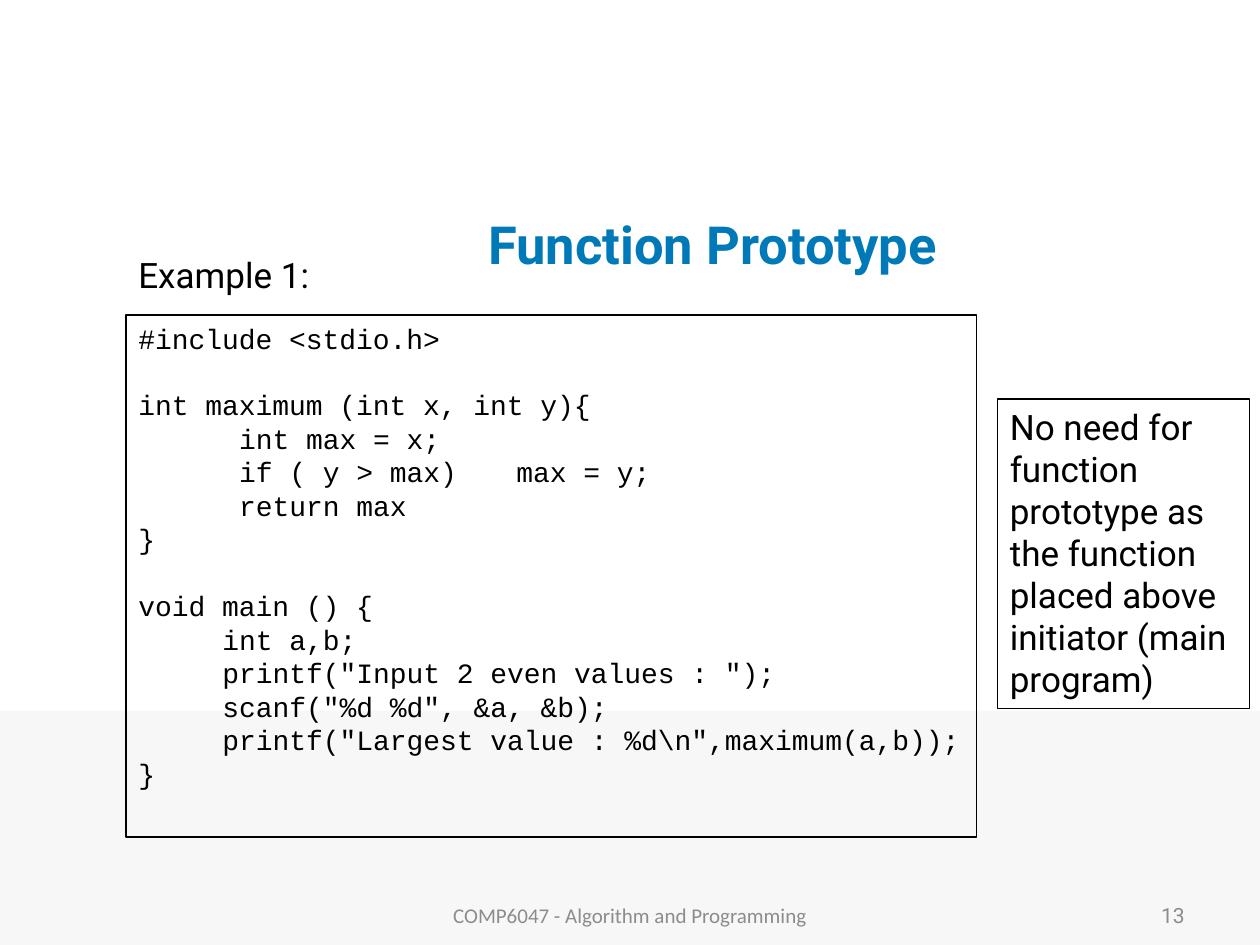
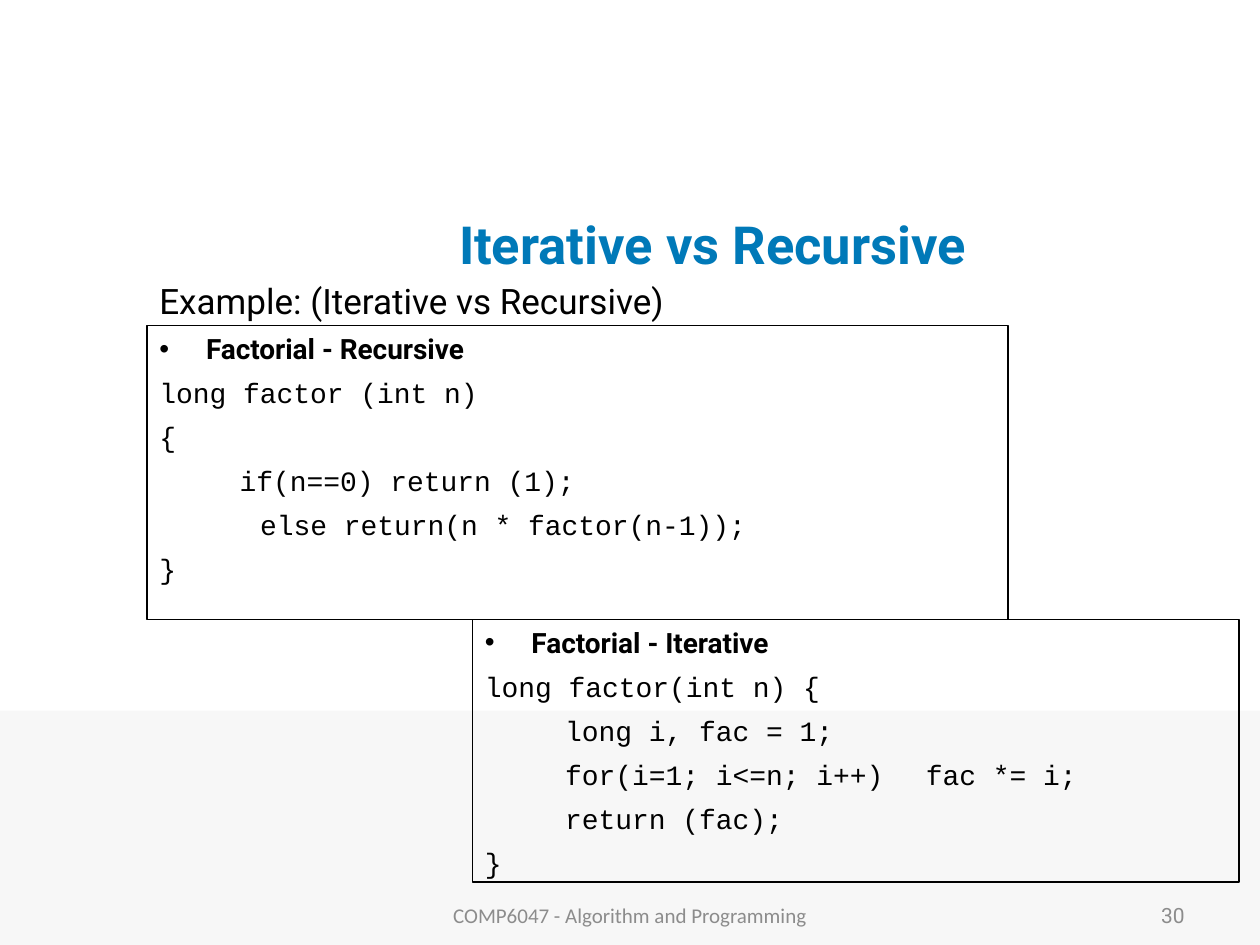
from dataclasses import dataclass

from lxml.etree import SubElement
from pptx import Presentation
from pptx.dml.color import RGBColor
from pptx.enum.shapes import MSO_SHAPE
from pptx.enum.text import MSO_ANCHOR, PP_ALIGN
from pptx.oxml.ns import qn
from pptx.shapes.autoshape import Shape
from pptx.slide import Slide
from pptx.text.text import TextFrame
from pptx.util import Pt

COLORS = {
    "title": "0079B8",
    "text": "000000",
    "footer": "8C8C8C",
    "band": "F7F7F7",
}
SANS = "Roboto"
MONO = "Courier New"
FOOTER_FONT = "Calibri"
COURSE = "COMP6047 - Algorithm and Programming"
CODE_SIZE = 16
CODE_LEADING = 19.15
CHARACTER = 9.6
BULLET_INDENT = 26.64
NESTED_INDENT = BULLET_INDENT + 2 * CHARACTER


@dataclass(frozen=True)
class Area:
    left: float
    top: float
    width: float
    height: float


@dataclass(frozen=True)
class CodeLine:
    text: str
    indent: float = 0
    gap: float = 0
    tab: float | None = None


@dataclass(frozen=True)
class Listing:
    area: Area
    lines: tuple[CodeLine, ...]
    heading: str | None = None


@dataclass(frozen=True)
class Label:
    text: str
    area: Area
    gap: float
    leading: float | None = None


BAND = Area(0, 406, 720, 134)
TITLE = Area(138, 108, 538.5, 62.5)
NUMBER = Area(516, 508.5, 168, 28.5)
FOOTER = Area(246, 508.5, 228, 28.5)

PROTOTYPE_LABEL = Label("Example 1:", Area(72, 144, 648, 36), 7, 0.9)
PROTOTYPE_LISTING = Listing(
    Area(72, 180, 486, 298.25),
    (
        CodeLine("#include <stdio.h>"),
        CodeLine("int maximum (int x, int y){", gap=CODE_LEADING),
        CodeLine("int max = x;", 6 * CHARACTER),
        CodeLine("if ( y > max)\tmax = y;", 6 * CHARACTER, tab=216),
        CodeLine("return max", 6 * CHARACTER),
        CodeLine("}"),
        CodeLine("void main () {", gap=CODE_LEADING),
        CodeLine("int a,b;", 5 * CHARACTER),
        CodeLine('printf("Input 2 even values : ");', 5 * CHARACTER),
        CodeLine('scanf("%d %d", &a, &b);', 5 * CHARACTER),
        CodeLine('printf("Largest value : %d\\n",maximum(a,b));', 5 * CHARACTER),
        CodeLine("}"),
    ),
)
PROTOTYPE_NOTE = Label(
    "No need for function prototype as the function placed above initiator (main program)",
    Area(570, 228, 144, 177),
    12.5,
    Pt(24),
)

FACTORIAL_LABEL = Label("Example: (Iterative vs Recursive)", Area(84, 156, 678, 36), 6)
FACTORIAL_LISTINGS = (
    Listing(
        Area(84, 186, 492, 168),
        (
            CodeLine("long factor (int n)", gap=6),
            CodeLine("{", gap=6),
            CodeLine("if(n==0) return (1);", NESTED_INDENT, 6),
            CodeLine("else return(n * factor(n-1));", 6 * CHARACTER, 6),
            CodeLine("}", gap=6),
        ),
        "Factorial - Recursive",
    ),
    Listing(
        Area(270, 354, 438, 150),
        (
            CodeLine("long factor(int n) {", gap=6),
            CodeLine("long i, fac = 1;", NESTED_INDENT, 6),
            CodeLine("for(i=1; i<=n; i++)\tfac *= i;", NESTED_INDENT, 6, 247),
            CodeLine("return (fac);", NESTED_INDENT, 6),
            CodeLine("}", gap=6),
        ),
        "Factorial - Iterative",
    ),
)


def color(name: str) -> RGBColor:
    return RGBColor.from_string(COLORS[name])


def add_text(
    frame: TextFrame,
    text: str,
    *,
    size: float = 20,
    font: str = SANS,
    fill: str = "text",
    bold: bool = False,
    align: PP_ALIGN = PP_ALIGN.LEFT,
    gap: float = 0,
    leading: float | None = None,
    indent: float = 0,
    tab: float | None = None,
    bullet: bool = False,
) -> None:
    para = frame.paragraphs[0]
    if para.runs:
        para = frame.add_paragraph()
    para.alignment = align
    para.space_before = Pt(gap)
    if leading is not None:
        para.line_spacing = leading
    span = para.add_run()
    span.text = text
    span.font.size = Pt(size)
    span.font.name = font
    span.font.bold = bold
    span.font.color.rgb = color(fill)
    properties = para._p.get_or_add_pPr()
    if bullet:
        properties.set("marL", str(Pt(BULLET_INDENT)))
        properties.set("indent", str(-Pt(BULLET_INDENT)))
        SubElement(properties, qn("a:buFont"), typeface="Arial")
        SubElement(properties, qn("a:buChar"), char="•")
    else:
        properties.set("marL", "0")
        properties.set("indent", str(Pt(indent)))
    if tab is not None:
        stops = SubElement(properties, qn("a:tabLst"))
        SubElement(stops, qn("a:tab"), pos=str(Pt(tab)), algn="l")


def add_box(slide: Slide, area: Area, anchor: MSO_ANCHOR = MSO_ANCHOR.TOP) -> TextFrame:
    box = slide.shapes.add_textbox(
        Pt(area.left), Pt(area.top), Pt(area.width), Pt(area.height)
    )
    box.text_frame.word_wrap = True
    box.text_frame.vertical_anchor = anchor
    return box.text_frame


def add_rectangle(slide: Slide, area: Area) -> Shape:
    rectangle = slide.shapes.add_shape(
        MSO_SHAPE.RECTANGLE,
        Pt(area.left), Pt(area.top), Pt(area.width), Pt(area.height),
    )
    rectangle.shadow.inherit = False
    return rectangle


def add_outlined_box(slide: Slide, area: Area) -> TextFrame:
    box = add_rectangle(slide, area)
    box.fill.background()
    box.line.color.rgb = color("text")
    box.line.width = Pt(0.75)
    box.text_frame.word_wrap = True
    box.text_frame.vertical_anchor = MSO_ANCHOR.TOP
    return box.text_frame


def add_label(frame: TextFrame, label: Label) -> None:
    add_text(frame, label.text, gap=label.gap, leading=label.leading)


def add_listing(slide: Slide, listing: Listing) -> None:
    frame = add_outlined_box(slide, listing.area)
    if listing.heading:
        add_text(frame, listing.heading, size=CODE_SIZE, bold=True, gap=5, bullet=True)
    for line in listing.lines:
        add_text(
            frame, line.text, size=CODE_SIZE, font=MONO, gap=line.gap,
            leading=Pt(CODE_LEADING), indent=line.indent, tab=line.tab,
        )


def add_page(deck: Presentation, title: str, number: int) -> Slide:
    page = deck.slides.add_slide(deck.slide_layouts[6])
    band = add_rectangle(page, BAND)
    band.fill.solid()
    band.fill.fore_color.rgb = color("band")
    band.line.fill.background()
    middle = MSO_ANCHOR.MIDDLE
    add_text(
        add_box(page, TITLE, middle), title,
        size=30, fill="title", bold=True, align=PP_ALIGN.CENTER,
    )
    add_text(
        add_box(page, NUMBER, middle), str(number),
        size=12, fill="footer", align=PP_ALIGN.RIGHT,
    )
    add_text(
        add_box(page, FOOTER, middle), COURSE,
        size=12, font=FOOTER_FONT, fill="footer", align=PP_ALIGN.CENTER,
    )
    return page


def main() -> None:
    deck = Presentation()
    deck.slide_width = Pt(720)
    deck.slide_height = Pt(540)

    prototype = add_page(deck, "Function Prototype", 13)
    add_label(add_box(prototype, PROTOTYPE_LABEL.area), PROTOTYPE_LABEL)
    add_listing(prototype, PROTOTYPE_LISTING)
    add_label(add_outlined_box(prototype, PROTOTYPE_NOTE.area), PROTOTYPE_NOTE)

    factorial = add_page(deck, "Iterative vs Recursive", 30)
    add_label(add_box(factorial, FACTORIAL_LABEL.area), FACTORIAL_LABEL)
    for listing in FACTORIAL_LISTINGS:
        add_listing(factorial, listing)

    deck.save("out.pptx")


if __name__ == "__main__":
    main()
